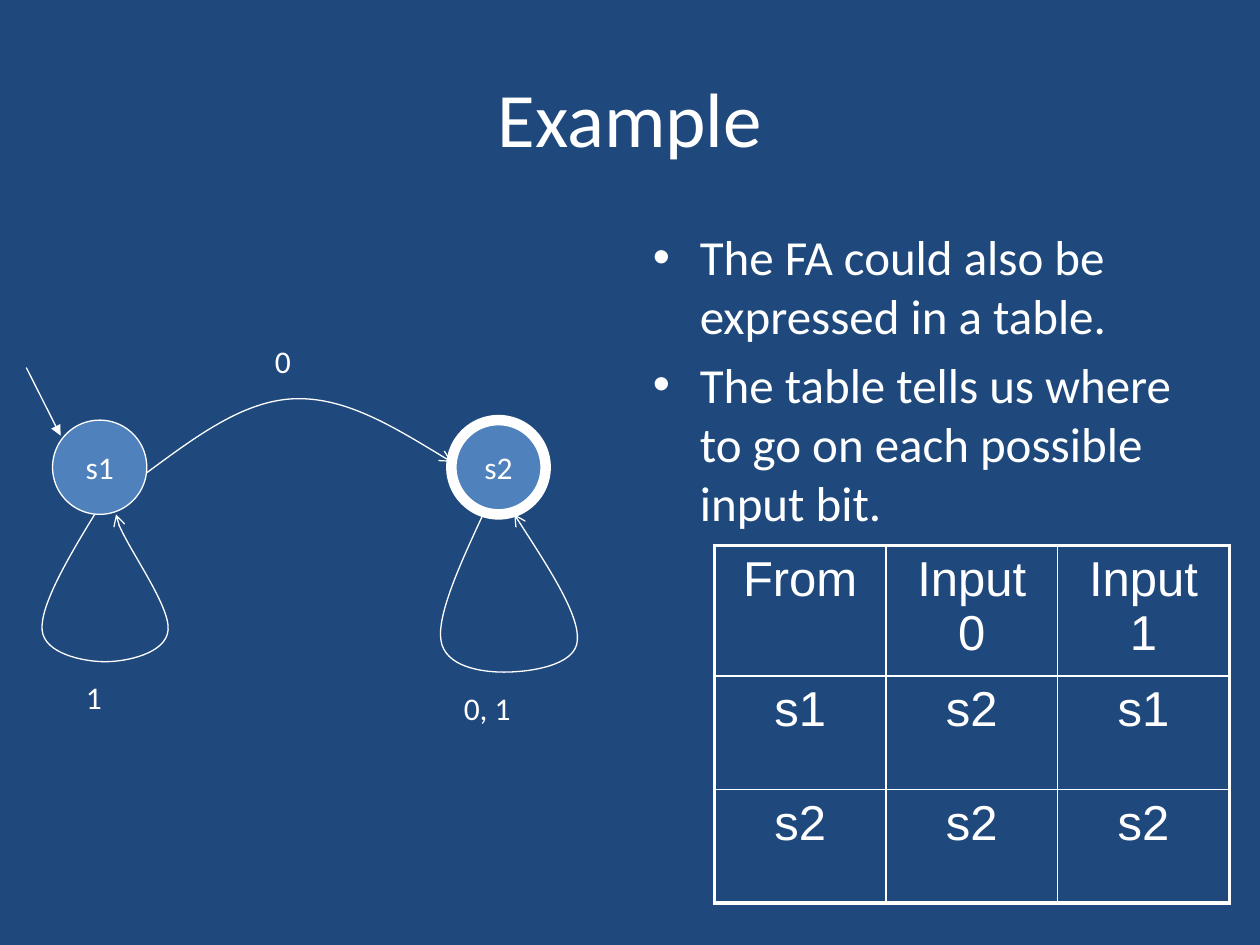
from dataclasses import dataclass

from pptx import Presentation
from pptx.dml.color import RGBColor as RGB
from pptx.enum.shapes import MSO_CONNECTOR as Link, MSO_SHAPE as Kind
from pptx.enum.text import MSO_ANCHOR as Anchor, PP_ALIGN as Align
from pptx.oxml.ns import qn
from pptx.oxml.xmlchemy import OxmlElement as Node
from pptx.util import Cm, Pt


@dataclass(frozen=True)
class Theme:
    back: RGB = RGB(0x1F, 0x49, 0x7D)
    state: RGB = RGB(0x4F, 0x81, 0xBD)
    ink: RGB = RGB(0xFF, 0xFF, 0xFF)
    font: str = "Calibri"
    grid: str = "Arial"
    title: float = 44
    body: float = 28
    label: float = 18
    thin: float = 0.75
    rule: float = 1
    frame: float = 2.25
    ring: float = 6


def add(parent, tag, **attrs):
    node = Node(tag)
    for key, val in attrs.items():
        node.set(key, str(val))
    parent.append(node)
    return node


class Board:
    def __init__(self, slide, theme):
        self.slide, self.theme = slide, theme
        self.shapes = slide.shapes
        fill = slide.background.fill
        fill.solid()
        fill.fore_color.rgb = theme.back

    def put(self, para, text, size, font=None, align=None):
        if align is not None:
            para.alignment = align
        run = para.add_run()
        run.text = text
        run.font.size = Pt(size)
        run.font.name = font or self.theme.font
        run.font.color.rgb = self.theme.ink

    def title(self, text, box):
        shape = self.shapes.title
        shape.left, shape.top, shape.width, shape.height = map(Cm, box)
        frame = shape.text_frame
        frame.vertical_anchor = Anchor.MIDDLE
        self.put(frame.paragraphs[0], text, self.theme.title, align=Align.CENTER)

    def text(self, box):
        frame = self.shapes.add_textbox(*map(Cm, box)).text_frame
        frame.word_wrap = True
        return frame

    def label(self, text, box):
        self.put(self.text(box).paragraphs[0], text, self.theme.label)

    def bullets(self, items, box):
        frame = self.text(box)
        size = self.theme.body
        for i, item in enumerate(items):
            para = frame.add_paragraph() if i else frame.paragraphs[0]
            props = para._p.get_or_add_pPr()
            props.set("marL", str(Cm(0.95)))
            props.set("indent", str(-Cm(0.95)))
            add(props, "a:buFont", typeface="Arial")
            add(props, "a:buChar", char="•")
            para.space_before = Pt(0.2 * size if i else 0)
            self.put(para, item, size)

    def state(self, name, left, top, size, width):
        shape = self.shapes.add_shape(Kind.OVAL, *map(Cm, (left, top, size, size)))
        shape.shadow.inherit = False
        shape.fill.solid()
        shape.fill.fore_color.rgb = self.theme.state
        self.stroke(shape, width)
        frame = shape.text_frame
        frame.word_wrap = False
        frame.vertical_anchor = Anchor.MIDDLE
        self.put(frame.paragraphs[0], name, self.theme.label, align=Align.CENTER)

    def stroke(self, shape, width, head=None):
        shape.line.color.rgb = self.theme.ink
        shape.line.width = Pt(width)
        if head:
            add(shape.line._get_or_add_ln(), "a:tailEnd", type=head)

    def arrow(self, start, end):
        line = self.shapes.add_connector(Link.STRAIGHT, *map(Cm, start + end))
        self.stroke(line, self.theme.thin, "triangle")
        add(line._element.spPr, "a:effectLst")

    def curve(self, points):
        """Draw Bezier arcs: a start, then two controls and an end per arc."""
        spots = [(Cm(x), Cm(y)) for x, y in points]
        pen = self.shapes.build_freeform(*spots[0])
        pen.add_line_segments(spots[1:], close=False)
        shape = pen.convert_to_shape()
        track = next(shape._element.iter(qn("a:path")))
        steps = track.findall(qn("a:lnTo"))
        for i in range(0, len(steps), 3):
            arc = add(track, "a:cubicBezTo")
            for step in steps[i:i + 3]:
                arc.append(step[0])
                track.remove(step)
        shape.shadow.inherit = False
        shape.fill.background()
        self.stroke(shape, self.theme.thin, "arrow")

    def border(self, cell, edges):
        """Rule a cell; edges maps each side to whether it is on the frame."""
        props = cell._tc.get_or_add_tcPr()
        for side, outer in edges.items():
            width = self.theme.frame if outer else self.theme.rule
            line = add(props, f"a:ln{side}", w=Pt(width))
            add(add(line, "a:solidFill"), "a:srgbClr", val=self.theme.ink)

    def table(self, rows, left, top, wide, high):
        down, across = len(rows), len(rows[0])
        box = map(Cm, (left, top, wide * across, high * down))
        table = self.shapes.add_table(down, across, *box).table
        table.first_row = table.horz_banding = False
        for col in table.columns:
            col.width = Cm(wide)
        for r, row in enumerate(rows):
            table.rows[r].height = Cm(high)
            for c, text in enumerate(row):
                cell = table.cell(r, c)
                self.border(cell, {"L": c == 0, "R": c == across - 1,
                                   "T": r == 0, "B": r == down - 1})
                cell.fill.background()
                self.put(cell.text_frame.paragraphs[0], text, self.theme.body,
                         self.theme.grid, Align.CENTER)


def main():
    deck = Presentation()
    deck.slide_width, deck.slide_height = Cm(25.4), Cm(19.05)
    theme = Theme()
    board = Board(deck.slides.add_slide(deck.slide_layouts[5]), theme)

    board.title("Example", (1.27, 0.76, 22.86, 3.18))
    board.bullets(["The FA could also be expressed in a table.",
                   "The table tells us where to go on each possible input bit."],
                  (12.91, 4.45, 11.22, 12.57))
    board.table([["From", "Input 0", "Input 1"],
                 ["s1", "s2", "s1"],
                 ["s2", "s2", "s2"]], 14.4, 11, 3.46, 2.29)

    board.state("s1", 1.06, 8.47, 1.9, theme.thin)
    board.state("s2", 9.1, 8.47, 1.9, theme.ring)
    board.arrow((0.53, 7.41), (1.22, 8.78))

    hop = [(2.96, 9.53), (3.94, 8.81), (4.9, 8.08), (5.93, 8.04),
           (6.95, 8), (8.03, 8.66), (9.1, 9.31)]
    loop1 = [(1.91, 10.37), (1.35, 11.28), (0.81, 12.22), (0.85, 12.7),
             (0.89, 13.18), (1.69, 13.34), (2.12, 13.34),
             (2.54, 13.34), (3.35, 13.18), (3.39, 12.7),
             (3.43, 12.22), (2.34, 10.72), (2.34, 10.37)]
    loop2 = [(9.74, 10.37), (9.27, 11.38), (8.81, 12.4), (8.89, 12.91),
             (8.97, 13.44), (9.7, 13.55), (10.16, 13.55),
             (10.62, 13.55), (11.61, 13.44), (11.64, 12.91),
             (11.68, 12.4), (11.02, 11.38), (10.37, 10.37)]
    for points in (hop, loop1, loop2):
        board.curve(points)

    board.label("1", (1.48, 13.55, 0.85, 1.02))
    board.label("0, 1", (9.1, 13.76, 2.54, 1.02))
    board.label("0", (5.29, 6.77, 1.48, 1.02))
    deck.save("out.pptx")


if __name__ == "__main__":
    main()
